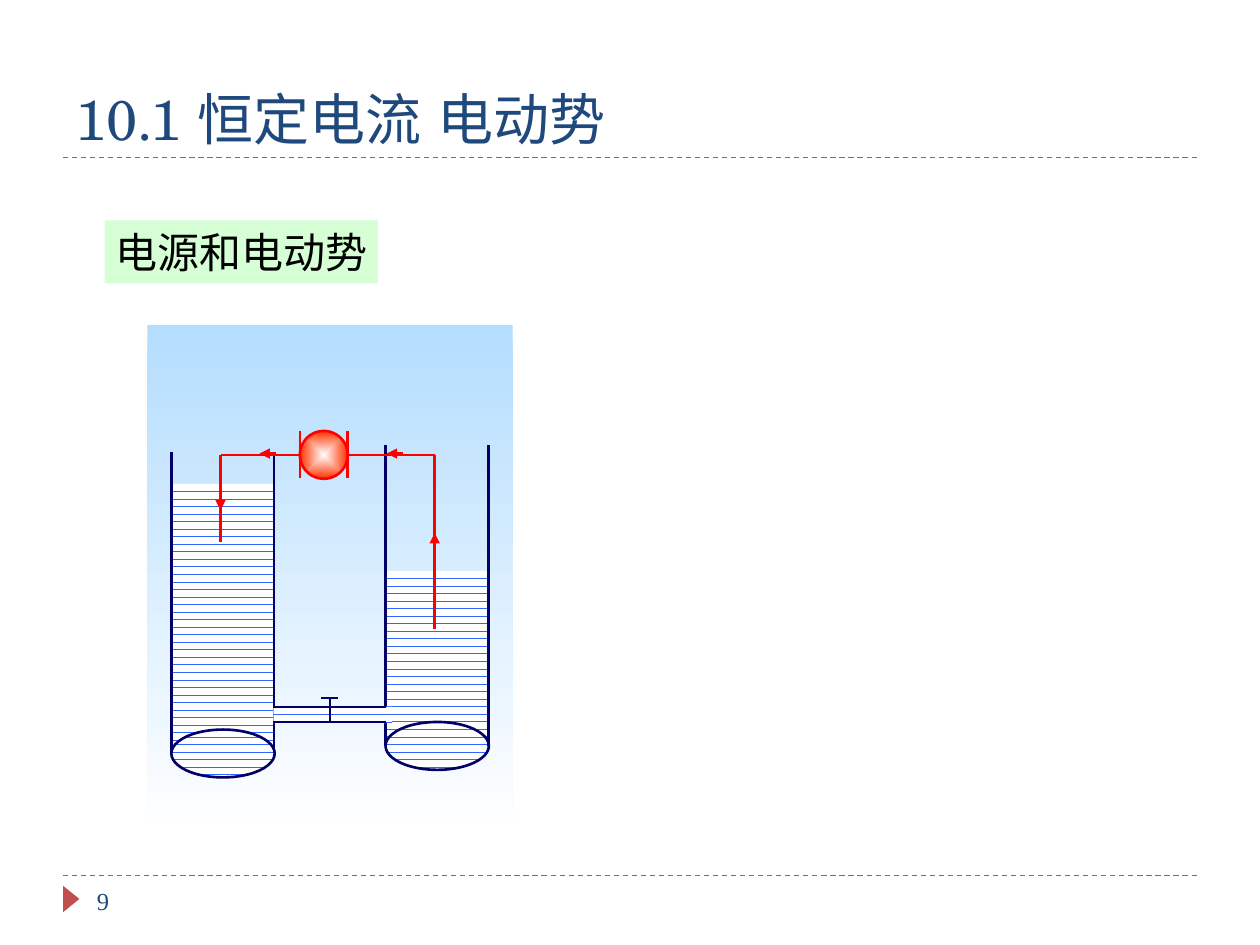
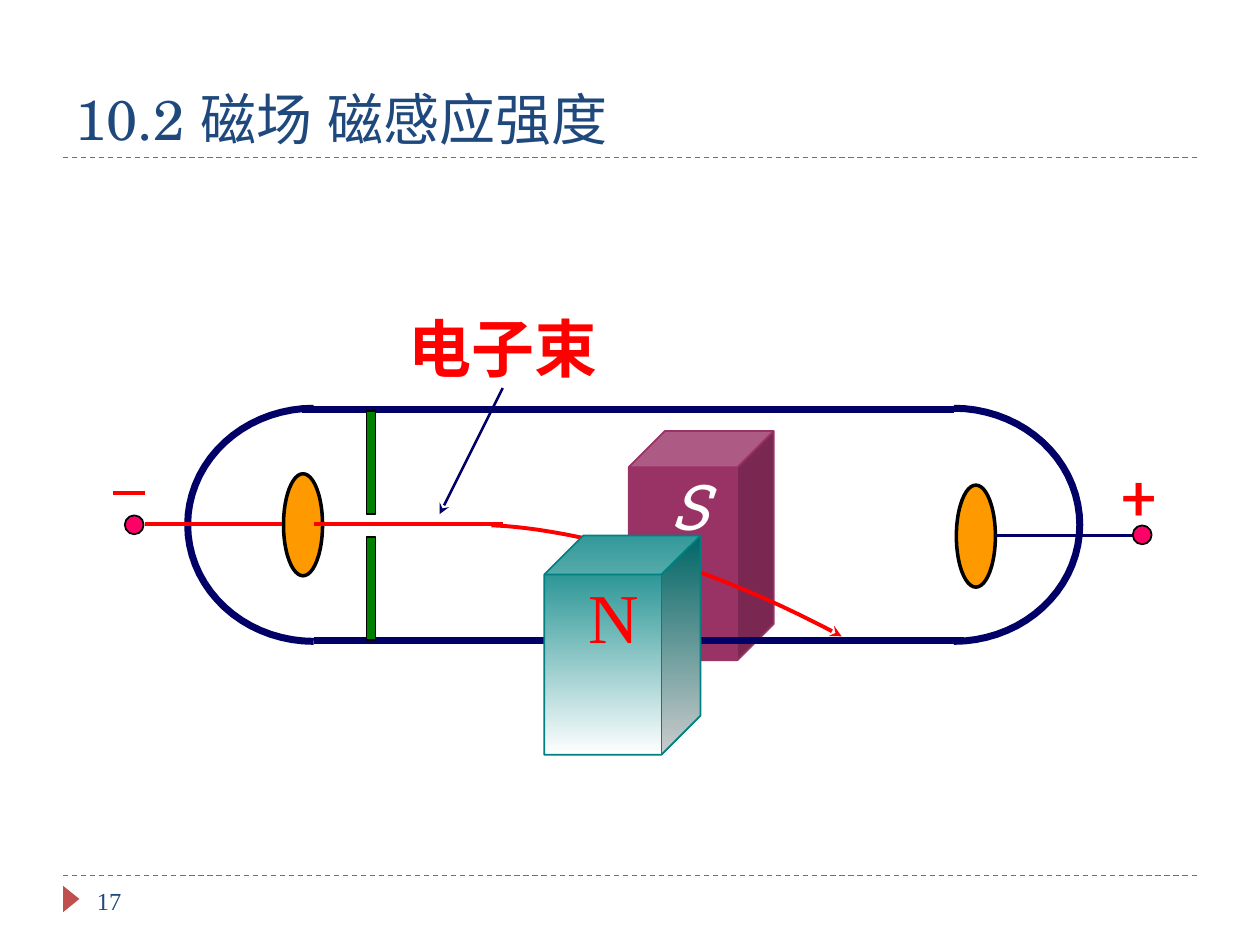
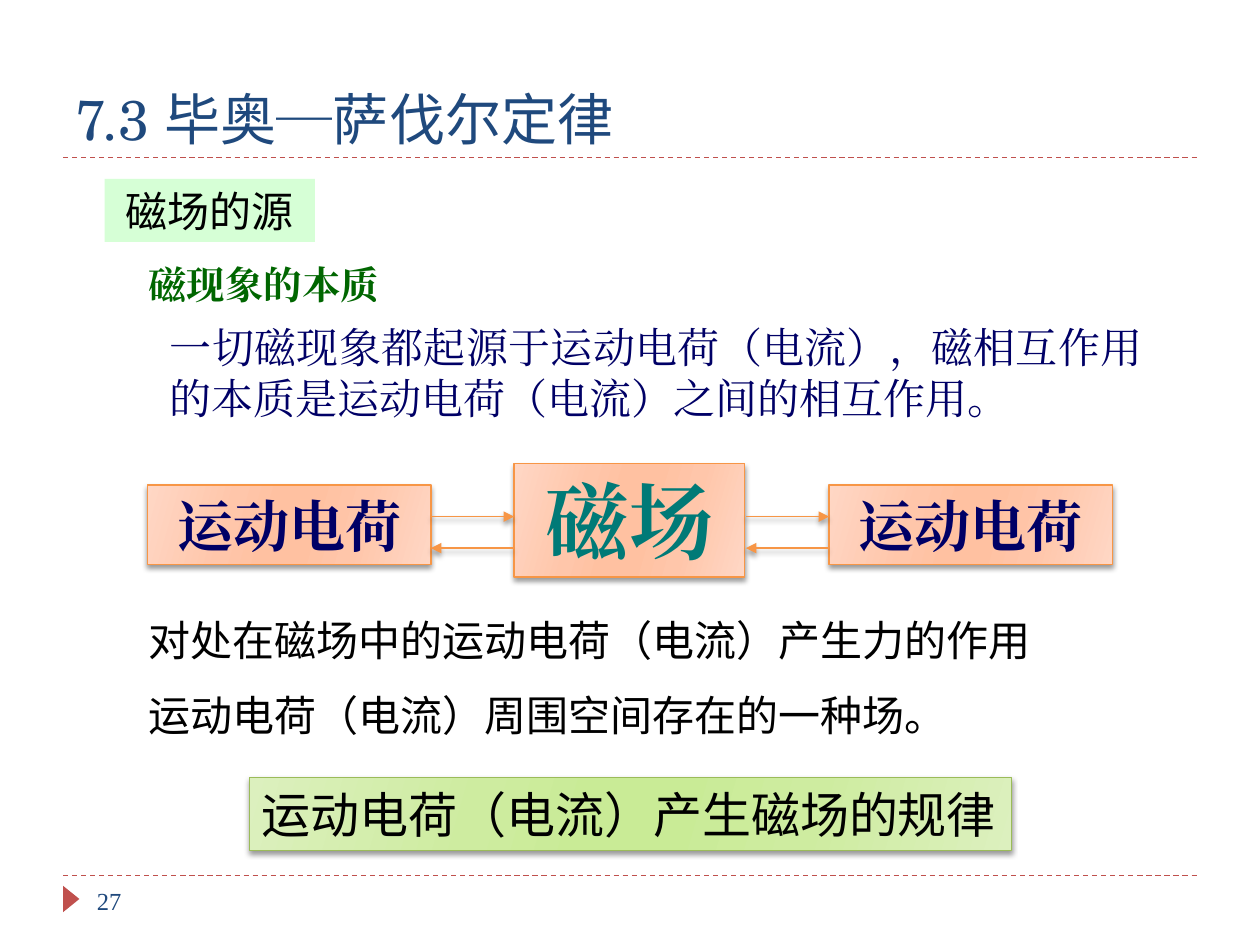
import math
from lxml import etree
from pptx import Presentation
from pptx import util as u
from pptx.dml.color import RGBColor
from pptx.enum import dml, lang, shapes, text
from pptx.oxml import parse_xml
from pptx.oxml.ns import nsdecls, qn

rgb = RGBColor.from_string
form = shapes.MSO_SHAPE
left, mid, just = text.PP_ALIGN.LEFT, text.PP_ALIGN.CENTER, text.PP_ALIGN.JUSTIFY
navy, red, rust, blue, black = "000066", "FF0000", "C0504D", "1F497D", "000000"
serif, sans, slab = "Times New Roman", "Noto Sans CJK SC", "Roboto Slab"

deck = Presentation()
deck.slide_width, deck.slide_height = u.Inches(10), u.Inches(7.5)
cell = deck.slide_width // 100


def put(page, kind, box, fill=None, edge=None, wt=1, say="", size=24, face=serif,
        ink=black, bold=False, slant=False, side=left, wrap=True,
        hold=text.MSO_ANCHOR.MIDDLE):
    spot = [round(v * cell) for v in box]
    if kind is None:
        item = page.shapes.add_textbox(*spot)
    else:
        item = page.shapes.add_shape(kind, *spot)
        item.shadow.inherit = False
    if isinstance(fill, str):
        item.fill.solid()
        item.fill.fore_color.rgb = rgb(fill)
    else:
        item.fill.background()
    if fill and not isinstance(fill, str):
        turn, stops = fill
        marks = "".join(f'<a:gs pos="{at * 1000}"><a:srgbClr val="{hue}"/></a:gs>'
                        for at, hue in stops)
        flow = (f'<a:lin ang="{turn * 60000}" scaled="0"/>' if turn is not None else
                '<a:path path="shape"><a:fillToRect l="50000" t="50000" r="50000" '
                'b="50000"/></a:path>')
        prop = item._element.spPr
        prop.replace(prop.find(qn("a:noFill")), parse_xml(
            f'<a:gradFill {nsdecls("a")} rotWithShape="1"><a:gsLst>{marks}</a:gsLst>'
            f'{flow}</a:gradFill>'))
    if edge:
        item.line.color.rgb = rgb(edge)
        item.line.width = u.Pt(wt)
    else:
        item.line.fill.background()
    if say:
        frame = item.text_frame
        frame.word_wrap, frame.vertical_anchor = wrap, hold
        para = frame.paragraphs[0]
        para.text, para.alignment = say, side
        font = para.font
        font.size, font.bold, font.italic = u.Pt(size), bold, slant
        font.color.rgb, font.name = rgb(ink), face
        font.language_id = lang.MSO_LANGUAGE_ID.SIMPLIFIED_CHINESE
        etree.SubElement(para._p.pPr.find(qn("a:defRPr")), qn("a:ea"), typeface=face)
    return item


def join(page, dots, ink, wt, tail=None, dash=False):
    dots = [(round(x * cell), round(y * cell)) for x, y in dots]
    if len(dots) == 2:
        item = page.shapes.add_connector(shapes.MSO_CONNECTOR.STRAIGHT, *dots[0], *dots[1])
    else:
        pen = page.shapes.build_freeform(*dots[0])
        pen.add_line_segments(dots[1:], close=False)
        item = pen.convert_to_shape()
        item.fill.background()
    item.line.color.rgb = rgb(ink)
    item.line.width = u.Pt(wt)
    if dash:
        item.line.dash_style = dml.MSO_LINE.DASH
    prop = item._element.spPr
    if tail:
        etree.SubElement(prop.find(qn("a:ln")), qn("a:tailEnd"), type=tail)
    etree.SubElement(prop, qn("a:effectLst"))
    return item


pages = []
for title, num, tag, spot in [
    ("10.1 恒定电流 电动势", "9", "电源和电动势", (8.3, 17.5, 21.7, 5)),
    ("10.2 磁场 磁感应强度", "17", None, None),
    ("7.3 毕奥─萨伐尔定律", "27", "磁场的源", (8.3, 14.2, 16.7, 5)),
]:
    page = deck.slides.add_slide(deck.slide_layouts[6])
    pages.append(page)
    for y in (69.5, 12.5):
        join(page, [(5, y), (95, y)], rust, 0.75, dash=True)
    put(page, form.ISOSCELES_TRIANGLE, (4.6, 70.7, 2.1, 1.3), rust).rotation = 90
    put(page, None, (5, 2.5, 90, 10), say=title, size=32, face="TeX Gyre Schola",
        ink=blue, hold=text.MSO_ANCHOR.BOTTOM)
    put(page, None, (6.7, 69.5, 21.7, 4), say=num, size=14, ink=blue)
    if tag:
        sign = put(page, form.RECTANGLE, spot, "CCFFCC", say=tag, face="Arial",
                   side=mid, wrap=False)
        hue = sign._element.spPr.find(qn("a:solidFill"))[0]
        etree.SubElement(hue, qn("a:alpha"), val="80000")
tank, tube, law = pages

put(tank, form.RECTANGLE, (11.7, 25.8, 29, 40.3), (90, [(0, "B4DDFE"), (100, "FFFFFF")]))
wet = []
for x, top, base in [(13.6, 38.4, 59.8), (30.6, 45.3, 59.2)]:
    wet.append(put(tank, form.RECTANGLE, (x, top, 8.2, base + 0.6 - top)))
    wet.append(put(tank, form.OVAL, (x, base - 1.9, 8.2, 3.8), edge=navy, wt=1.5))
    for wall in (x, x + 8.15):
        join(tank, [(wall, base), (wall, base - 23.9)], navy, 1.5)
wet.append(put(tank, form.RECTANGLE, (21.7, 56.1, 9.4, 1.3)))
for pool in wet:
    pool.fill.patterned()
    pool.fill.pattern = dml.MSO_PATTERN.DASHED_HORIZONTAL
    pool.fill.fore_color.rgb = rgb("3366FF")
    pool.fill.back_color.rgb = rgb("FFFFFF")
for a, b in [((21.7, 56.1), (30.6, 56.1)), ((21.7, 57.3), (30.6, 57.3)),
             ((25.5, 55.4), (26.8, 55.4)), ((26.2, 55.4), (26.2, 57.3))]:
    join(tank, [a, b], navy, 1.5)
put(tank, form.OVAL, (23.8, 34.2, 3.8, 3.8), (None, [(0, "FFFFFF"), (100, "FF3300")]),
    red, 1.5)
for a, b, tail in [
    ((34.5, 49.9), (34.5, 36.1), None), ((34.5, 36.1), (27.6, 36.1), None),
    ((27.6, 34.2), (27.6, 37.9), None), ((23.8, 34.2), (23.8, 37.9), None),
    ((17.5, 36.1), (17.5, 43), None), ((17.5, 36.1), (23.8, 36.1), None),
    ((34.5, 43.6), (34.5, 42.3), "triangle"), ((17.5, 39.2), (17.5, 40.5), "triangle"),
    ((32, 36), (30.7, 36), "triangle"), ((21.9, 36), (20.6, 36), "triangle"),
]:
    join(tank, [a, b], red, 1.5, tail)

put(tube, form.CUBE, (49.9, 34.2, 11.5, 18.2), "993366", "993366")
for x, turn in [(24.9, 90), (75.7, 270)]:
    arc = [math.radians(turn + step) for step in range(0, 181, 5)]
    join(tube, [(x + 10 * math.cos(t), 41.65 + 9.25 * math.sin(t)) for t in arc], navy, 4)
join(tube, [(24, 32.5), (75.7, 32.5)], navy, 4)
join(tube, [(24.9, 50.8), (76.5, 50.8)], navy, 4)
for x, y in [(22.5, 37.6), (75.9, 38.5)]:
    put(tube, form.OVAL, (x, y, 3.1, 8.1), "FF9900", black, 2)
join(tube, [(22.4, 41.6), (11.5, 41.6)], red, 2)
join(tube, [(79, 42.5), (90.7, 42.5)], navy, 2)
for x, y in [(89.9, 41.7), (9.9, 40.9)]:
    put(tube, form.OVAL, (x, y, 1.5, 1.5), "FF0066", black)
put(tube, None, (52.2, 36.6, 5.2, 7), say="S", size=36, face=slab, ink="FFFFFF",
    slant=True, wrap=False)
put(tube, None, (88, 35.8, 5, 7), say="+", size=36, face=slab, ink=red, wrap=False)
join(tube, [(9, 39.1), (11.5, 39.1)], red, 2.25)
for y in (32.6, 42.6):
    put(tube, form.RECTANGLE, (29.1, y, 0.7, 8.2), "008000", black)
bend = []
for step in range(31):
    t = step / 30
    n = 1 - t
    bend.append(tuple(n**3 * a + 3 * n * n * t * b + 3 * n * t * t * c + t**3 * d
                      for a, b, c, d in [(39, 39, 50.4, 66.8), (41.7, 41.7, 41.7, 50.5)]))
bend[1:1] = []
join(tube, bend, red, 2.25, "stealth")
join(tube, [(24.9, 41.6), (39.9, 41.6)], red, 2.25)
put(tube, None, (31.4, 24.1, 17, 7), say="电子束", size=36, face=sans, ink=red,
    bold=True, wrap=False)
join(tube, [(39.9, 30.8), (34.9, 40.8)], navy, 1.5, "stealth")
put(tube, form.CUBE, (43.2, 42.5, 12.4, 17.4), (90, [(0, "008080"), (100, "FFFFFF")]),
    "008080")
put(tube, None, (45.7, 45, 6, 7.7), say="N", size=40, ink=red, wrap=False)

put(law, None, (10.8, 20.2, 30, 4.7), say="磁现象的本质", size=22, ink="006600", bold=True)
put(law, None, (12.5, 25, 79.2, 9.1), ink=navy, side=just,
    say="一切磁现象都起源于运动电荷（电流），磁相互作用的本质是运动电荷（电流）之间的相互作用。")
stops = (0, 30, 45, 55, 73, 100)
peach = (16, list(zip(stops, ("FFD7C5", "FFC6AA", "FFC1A1", "FFC1A1", "FFC6AA", "FFD7C5"))))
lime = (16, list(zip(stops, ("DCF0BE", "CEECA0", "C9EB96", "C9EB96", "CEECA0", "DCF0BE"))))
soft = []
for box, say, size, ink in [
    ((65.8, 38.5, 22.5, 6.3), "运动电荷", 32, navy),
    ((40.8, 36.8, 18.3, 9), "磁场", 48, "007A77"),
    ((11.7, 38.5, 22.5, 6.3), "运动电荷", 32, navy),
]:
    soft.append(put(law, form.RECTANGLE, box, peach, "F79646", 0.75, say, size,
                    ink=ink, bold=True, side=mid))
for a, b in [(34.2, 40.8), (59.2, 65.8)]:
    for start, end, y in [(a, b, 41), (b, a, 43.5)]:
        soft.append(join(law, [(start, y), (end, y)], "F79646", 0.75, "triangle"))
put(law, None, (10.8, 48.3, 75.8, 5), say="对处在磁场中的运动电荷（电流）产生力的作用", face=sans)
put(law, None, (10.8, 54.2, 65.3, 5), say="运动电荷（电流）周围空间存在的一种场。", face=sans,
    wrap=False)
soft.append(put(law, form.RECTANGLE, (19.8, 61.7, 60.5, 5.8), lime, "9BBB59", 0.75,
                "运动电荷（电流）产生磁场的规律", 28, sans, wrap=False))
for item in soft:
    item._element.spPr.find(qn("a:effectLst")).append(parse_xml(
        f'<a:outerShdw {nsdecls("a")} blurRad="38100" dist="25400" dir="5400000" '
        'rotWithShape="0"><a:srgbClr val="000000"><a:alpha val="40000"/></a:srgbClr>'
        '</a:outerShdw>'))

deck.save("out.pptx")
